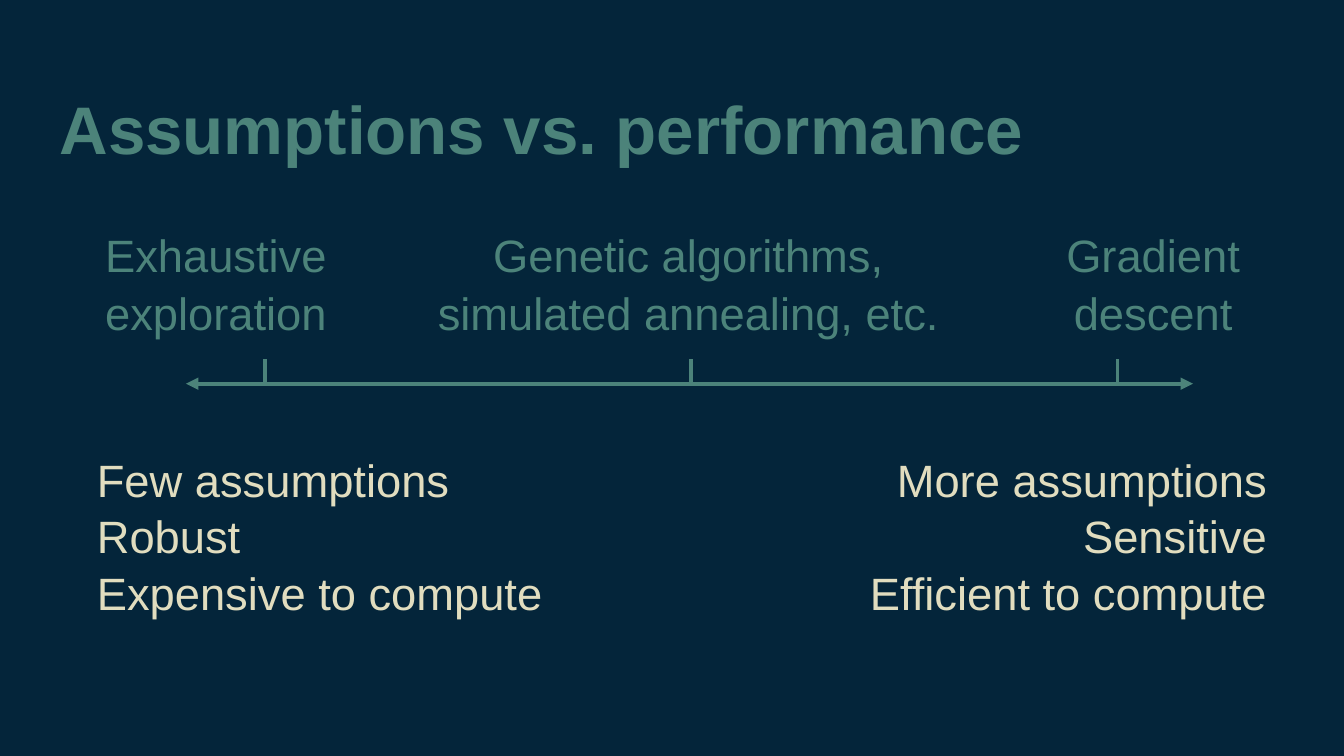
from lxml.etree import SubElement
from pptx import Presentation
from pptx.dml.color import RGBColor
from pptx.enum.shapes import MSO_CONNECTOR
from pptx.enum.text import MSO_ANCHOR, PP_ALIGN
from pptx.oxml.ns import qn
from pptx.util import Cm, Pt

NAVY, TEAL, CREAM = "04253A", "4C837A", "E1DDBF"


def color(hex_value):
    return RGBColor.from_string(hex_value)


def apply(target, values):
    for name, value in values.items():
        setattr(target, name, value)


class SpectrumSlide:
    font_name = "Arial"
    frame_format = {
        "word_wrap": True,
        "vertical_anchor": MSO_ANCHOR.TOP,
        **{f"margin_{side}": Cm(0.36) for side in ("left", "top", "right", "bottom")},
    }

    def __init__(self, presentation):
        self.slide = presentation.slides.add_slide(presentation.slide_layouts[6])
        background = self.slide.background.fill
        background.solid()
        background.fore_color.rgb = color(NAVY)

    def text(self, lines, left, top, width, height, ink, size=33, bold=False,
             align=PP_ALIGN.LEFT, spacing=1.04):
        box = self.slide.shapes.add_textbox(Cm(left), Cm(top), Cm(width), Cm(height))
        frame = box.text_frame
        apply(frame, self.frame_format)
        frame.text = "\n".join(lines)
        for paragraph in frame.paragraphs:
            apply(paragraph, {"alignment": align, "line_spacing": spacing})
            apply(paragraph.font, {"name": self.font_name, "size": Pt(size), "bold": bold})
            paragraph.font.color.rgb = color(ink)

    def line(self, start, end, weight, arrows=()):
        """Draw a line in cm; arrows may hold headEnd and tailEnd."""
        points = [Cm(value) for value in (*start, *end)]
        connector = self.slide.shapes.add_connector(MSO_CONNECTOR.STRAIGHT, *points)
        connector.line.color.rgb = color(TEAL)
        connector.line.width = Pt(weight)
        outline = connector.line._get_or_add_ln()
        for arrow in arrows:
            SubElement(outline, qn(f"a:{arrow}"), type="triangle")
        SubElement(connector._element.spPr, qn("a:effectLst"))


def main():
    presentation = Presentation()
    apply(presentation, {"slide_width": Cm(34.54), "slide_height": Cm(19.43)})
    spectrum = SpectrumSlide(presentation)

    spectrum.text(["Assumptions vs. performance"], 1.17, 1.68, 32.18, 2.16,
                  TEAL, size=49, bold=True, spacing=1.1)

    axis_y = 9.86
    spectrum.line((4.78, axis_y), (30.66, axis_y), 3, ("headEnd", "tailEnd"))

    methods = [
        ("Exhaustive exploration", 0.66, 9.78),
        ("Genetic algorithms, simulated annealing, etc.", 10.82, 13.74),
        ("Gradient descent", 26.09, 7.09),
    ]
    first_tick, tick_gap = 6.81, 10.95
    for index, (method, left, width) in enumerate(methods):
        tick_x = first_tick + index * tick_gap
        spectrum.line((tick_x, axis_y), (tick_x, axis_y - 0.64), 2.25)
        spectrum.text([method], left, 5.41, width, 2.13, TEAL,
                      align=PP_ALIGN.CENTER, spacing=1.06)

    traits = [
        (["Few assumptions", "Robust", "Expensive to compute"], 2.13, PP_ALIGN.LEFT),
        (["More assumptions", "Sensitive", "Efficient to compute"], 19.41, PP_ALIGN.RIGHT),
    ]
    for lines, left, align in traits:
        spectrum.text(lines, left, 11.2, 13.51, 2.13, CREAM, align=align)

    presentation.save("out.pptx")


if __name__ == "__main__":
    main()
